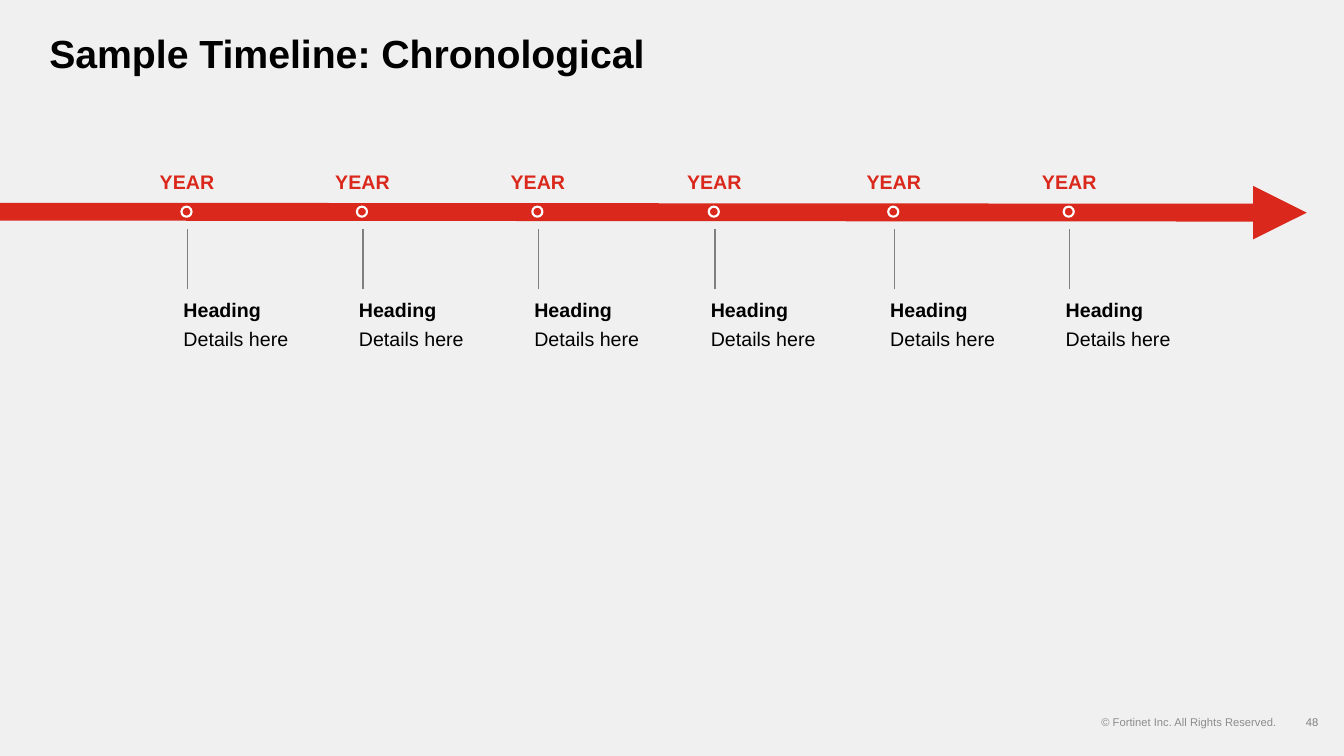
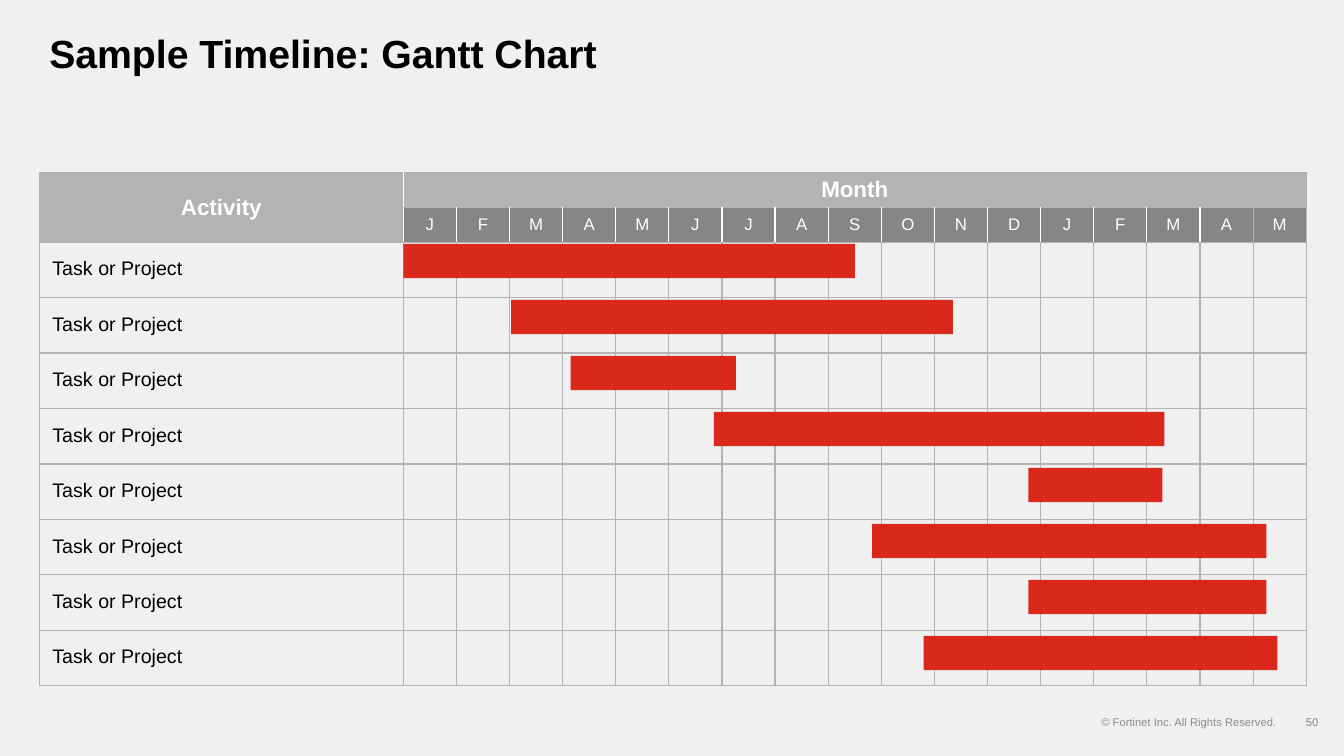
from lxml.etree import SubElement
from pptx import Presentation
from pptx.dml.color import RGBColor
from pptx.enum.shapes import MSO_CONNECTOR, MSO_SHAPE
from pptx.enum.text import MSO_ANCHOR as Anchor, PP_ALIGN as Align
from pptx.oxml.ns import qn
from pptx.util import Inches, Pt

FONT = "Arial"
BLACK = RGBColor(0x00, 0x00, 0x00)
WHITE = RGBColor(0xFF, 0xFF, 0xFF)
RED = RGBColor(0xDA, 0x29, 0x1C)
PAPER = RGBColor(0xF0, 0xF0, 0xF0)
LIGHT_GRAY = RGBColor(0xB3, 0xB3, 0xB3)
FOOTER_GRAY = RGBColor(0x8C, 0x8C, 0x8C)
MONTH_GRAY = RGBColor(0x86, 0x86, 0x86)
MID_GRAY = RGBColor(0x80, 0x80, 0x80)

COPYRIGHT = "© Fortinet Inc. All Rights Reserved."
MILESTONES = [1.86, 3.6, 5.34, 7.09, 8.87, 10.61]

MONTHS = "JFMAMJJASONDJFMAM"
TABLE_LEFT, TABLE_TOP, TABLE_WIDTH = 0.39, 1.71, 12.57
ACTIVITY_WIDTH = 3.61
HEADER_HEIGHTS = [0.33, 0.32]
TASK_HEIGHT = 0.55
LAST_WHITE_EDGE = [1, 16]
TASK_BARS = [(4, 4.48), (5.07, 4.38), (5.66, 1.64), (7.08, 4.47),
             (10.2, 1.33), (8.65, 3.91), (10.2, 2.36), (9.16, 3.51)]
FIRST_BAR_TOP, LAST_BAR_TOP, BAR_HEIGHT = 2.42, 6.31, 0.34


def style_paragraph(para, size, color, bold=False, align=Align.LEFT, spacing=None):
    para.alignment = align
    para.line_spacing = spacing
    para.font.name = FONT
    para.font.size = Pt(size)
    para.font.bold = bold
    para.font.color.rgb = color


def add_text(page, place, text, size, color, bold=False, align=Align.LEFT,
             spacing=None, anchor=Anchor.TOP, inset=None):
    box = page.shapes.add_textbox(*map(Inches, place))
    frame = box.text_frame
    frame.word_wrap = True
    frame.vertical_anchor = anchor
    if inset is not None:
        frame.margin_left = frame.margin_right = Inches(inset)
        frame.margin_top = frame.margin_bottom = Inches(inset)
    frame.text = text
    for para in frame.paragraphs:
        style_paragraph(para, size, color, bold, align, spacing)
    return box


def add_line(page, start, end, color, width, arrow=False):
    line = page.shapes.add_connector(MSO_CONNECTOR.STRAIGHT, *map(Inches, start + end))
    line.line.color.rgb = color
    line.line.width = Pt(width)
    if arrow:
        SubElement(line.line._get_or_add_ln(), qn("a:tailEnd"), type="triangle")
    SubElement(line._element.spPr, qn("a:effectLst"))


def add_shape(page, kind, place, fill=None, outline=None):
    shape = page.shapes.add_shape(kind, *map(Inches, place))
    shape.shadow.inherit = False
    if fill is None:
        shape.fill.background()
    else:
        shape.fill.solid()
        shape.fill.fore_color.rgb = fill
    if outline is None:
        shape.line.fill.background()
    else:
        shape.line.color.rgb = outline
        shape.line.width = Pt(1.5)


def add_page(deck, title, number):
    page = deck.slides.add_slide(deck.slide_layouts[6])
    add_text(page, (12.76, 7.01, 0.51, 0.3), str(number), 8, MID_GRAY,
             align=Align.CENTER, anchor=Anchor.MIDDLE)
    add_text(page, (10.77, 7.01, 1.99, 0.3), COPYRIGHT, 8, FOOTER_GRAY,
             align=Align.RIGHT, anchor=Anchor.MIDDLE)
    add_text(page, (0.39, 0.29, 12.39, 0.5), title, 28, BLACK, bold=True, spacing=0.9)
    return page


def add_milestone(page, center):
    add_line(page, (center, 2.87), (center, 2.27), MID_GRAY, 1)
    add_shape(page, MSO_SHAPE.OVAL, (center - 0.06, 2.05, 0.1, 0.1), outline=WHITE)
    add_text(page, (center - 0.55, 1.71, 1.09, 0.3), "YEAR", 14, RED, bold=True,
             align=Align.CENTER, spacing=0.9, inset=0)
    box = add_text(page, (center - 0.04, 2.98, 1.56, 0.58), "Heading\nDetails here",
                   14, BLACK, spacing=0.9, inset=0)
    heading, details = box.text_frame.paragraphs
    heading.font.bold = True
    details.space_before = Pt(6)


def edge_color(row, edge):
    white = row < len(LAST_WHITE_EDGE) and 1 <= edge <= LAST_WHITE_EDGE[row]
    return WHITE if white else LIGHT_GRAY


def set_borders(cell, row, column):
    colors = {"a:lnL": edge_color(row, column), "a:lnR": edge_color(row, column + 1),
              "a:lnT": LIGHT_GRAY, "a:lnB": LIGHT_GRAY}
    properties = cell._tc.get_or_add_tcPr()
    for side, color in colors.items():
        border = SubElement(properties, qn(side), w=str(Pt(1)))
        SubElement(SubElement(border, qn("a:solidFill")), qn("a:srgbClr"), val=str(color))


def format_cell(cell, row, column):
    set_borders(cell, row, column)
    cell.vertical_anchor = Anchor.MIDDLE
    cell.margin_left = cell.margin_right = Inches(0.13)
    cell.margin_top = cell.margin_bottom = Inches(0.04 if row < 2 else 0.05)
    para = cell.text_frame.paragraphs[0]
    if row >= 2:
        cell.fill.background()
        style_paragraph(para, 14, BLACK, spacing=0.9)
        return
    is_month = row == 1 and column > 0
    cell.fill.solid()
    cell.fill.fore_color.rgb = MONTH_GRAY if is_month else LIGHT_GRAY
    style_paragraph(para, 12 if is_month else 16, WHITE, not is_month, Align.CENTER)


def add_schedule(page):
    heights = HEADER_HEIGHTS + [TASK_HEIGHT] * len(TASK_BARS)
    month_width = (TABLE_WIDTH - ACTIVITY_WIDTH) / len(MONTHS)
    widths = [ACTIVITY_WIDTH] + [month_width] * len(MONTHS)
    place = (TABLE_LEFT, TABLE_TOP, TABLE_WIDTH, sum(heights))
    table = page.shapes.add_table(len(heights), len(widths), *map(Inches, place)).table
    table.first_row = table.horz_banding = False
    for column, width in zip(table.columns, widths):
        column.width = Inches(width)
    for row, height in zip(table.rows, heights):
        row.height = Inches(height)

    table.cell(0, 0).text = "Activity"
    table.cell(0, 1).text = "Month"
    for column, month in enumerate(MONTHS, 1):
        table.cell(1, column).text = month
    for row in range(2, len(heights)):
        table.cell(row, 0).text = "Task or Project"
    for row in range(len(heights)):
        for column in range(len(widths)):
            format_cell(table.cell(row, column), row, column)
    table.cell(0, 0).merge(table.cell(1, 0))
    table.cell(0, 1).merge(table.cell(0, len(MONTHS)))


def build_chronology(deck):
    page = add_page(deck, "Sample Timeline: Chronological", 48)
    add_line(page, (0, 2.1), (12.96, 2.11), RED, 12.75, arrow=True)
    for center in MILESTONES:
        add_milestone(page, center)


def build_gantt(deck):
    page = add_page(deck, "Sample Timeline: Gantt Chart", 50)
    add_schedule(page)
    pitch = (LAST_BAR_TOP - FIRST_BAR_TOP) / (len(TASK_BARS) - 1)
    for index, (left, width) in enumerate(TASK_BARS):
        top = FIRST_BAR_TOP + index * pitch
        add_shape(page, MSO_SHAPE.RECTANGLE, (left, top, width, BAR_HEIGHT), fill=RED)


def main():
    deck = Presentation()
    deck.slide_width = Inches(13.33)
    deck.slide_height = Inches(7.5)
    background = deck.slide_master.background.fill
    background.solid()
    background.fore_color.rgb = PAPER
    build_chronology(deck)
    build_gantt(deck)
    deck.save("out.pptx")


if __name__ == "__main__":
    main()
